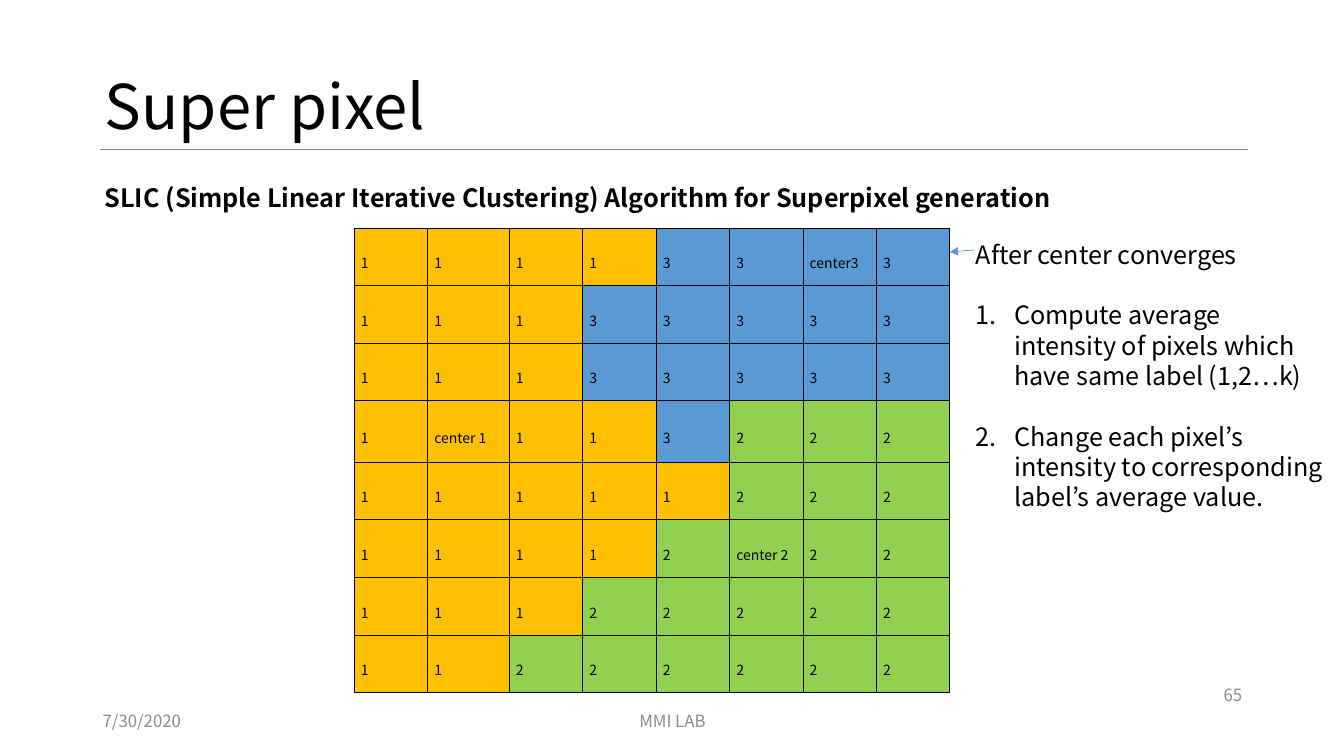
from dataclasses import dataclass

from lxml.etree import SubElement
from pptx import Presentation
from pptx.dml.color import RGBColor
from pptx.enum.shapes import MSO_CONNECTOR
from pptx.enum.text import MSO_ANCHOR, MSO_AUTO_SIZE, PP_ALIGN
from pptx.oxml.ns import qn
from pptx.util import Inches, Pt


@dataclass(frozen=True)
class Theme:
    font: str = "Noto Sans CJK KR"
    text: str = "000000"
    muted: str = "8C8C8C"
    accent: str = "5B9BD5"
    title: int = 44
    body: int = 18
    cell: int = 10
    footer: int = 12


THEME = Theme()
LABEL_FILLS = {"1": "FFC000", "2": "92D050", "3": THEME.accent}
LABELS = ["11113333", "11133333", "11133333", "11113222",
          "11111222", "11112222", "11122222", "11222222"]
CENTERS = {(0, 6): "center3", (3, 1): "center 1", (5, 5): "center 2"}
STEPS = ["Compute average intensity of pixels which have same label (1,2…k)",
         "Change each pixel’s intensity to corresponding label’s average value."]


def style(p, size, color=THEME.text, bold=False, align=PP_ALIGN.LEFT):
    p.alignment = align
    p.font.name = THEME.font
    p.font.size = Pt(size)
    p.font.bold = bold
    p.font.color.rgb = RGBColor.from_string(color)


def place(sp, box):
    sp.left, sp.top, sp.width, sp.height = (Inches(v) for v in box)


def add_text(s, box, text, size, anchor=MSO_ANCHOR.TOP, **look):
    tf = s.shapes.add_textbox(*(Inches(v) for v in box)).text_frame
    tf.word_wrap = True
    tf.vertical_anchor = anchor
    p = tf.paragraphs[0]
    p.text = text
    style(p, size, **look)


def add_line(s, start, end, color, arrow=False):
    line = s.shapes.add_connector(
        MSO_CONNECTOR.STRAIGHT, *(Inches(v) for v in (*start, *end)))
    line.line.color.rgb = RGBColor.from_string(color)
    line.line.width = Pt(0.5)
    if arrow:
        SubElement(line.line._get_or_add_ln(), qn("a:tailEnd"), type="triangle")
    SubElement(line._element.spPr, qn("a:effectLst"))


def add_heading(s, box):
    # Title with a rule below it
    left, top, width, height = box
    sp = s.shapes.title
    place(sp, box)
    tf = sp.text_frame
    tf.auto_size = MSO_AUTO_SIZE.NONE
    tf.vertical_anchor = MSO_ANCHOR.MIDDLE
    p = tf.paragraphs[0]
    p.text = "Super pixel"
    p.line_spacing = 0.9
    style(p, THEME.title)
    rule_y = top + 1.12
    add_line(s, (left + 0.05, rule_y), (left + width - 0.06, rule_y), THEME.muted)
    # Subtitle
    add_text(s, (left, top + 1.4, 10.83, 0.4),
             "SLIC (Simple Linear Iterative Clustering) Algorithm for Superpixel generation",
             THEME.body, bold=True)


def set_borders(cell):
    tc_pr = cell._tc.get_or_add_tcPr()
    for i, side in enumerate(("lnL", "lnR", "lnT", "lnB")):
        ln = tc_pr.makeelement(qn(f"a:{side}"), {"w": str(Pt(0.28))})
        fill = SubElement(ln, qn("a:solidFill"))
        SubElement(fill, qn("a:srgbClr"), val=THEME.text)
        tc_pr.insert(i, ln)


def add_label_grid(s, box):
    # Equal cells, except one wider column and one taller row
    n = len(LABELS)
    wide, tall = 0.81, 0.61
    table = s.shapes.add_table(n, n, *(Inches(v) for v in box)).table
    table.first_row = table.horz_banding = False
    for i in range(n):
        table.columns[i].width = Inches(wide if i == 1 else (box[2] - wide) / (n - 1))
        table.rows[i].height = Inches(tall if i == 3 else (box[3] - tall) / (n - 1))
    for r, row in enumerate(LABELS):
        for c, label in enumerate(row):
            cell = table.cell(r, c)
            cell.fill.solid()
            cell.fill.fore_color.rgb = RGBColor.from_string(LABEL_FILLS[label])
            cell.vertical_anchor = MSO_ANCHOR.MIDDLE
            cell.margin_left = cell.margin_right = Inches(0.07)
            cell.margin_top = cell.margin_bottom = Inches(0.02)
            p = cell.text_frame.paragraphs[0]
            p.text = CENTERS.get((r, c), label)
            p.line_spacing = 1.6
            style(p, THEME.cell, align=PP_ALIGN.JUSTIFY)
            set_borders(cell)


def add_steps(s, box):
    # Numbered steps after a lead line
    sp = s.placeholders[1]
    place(sp, box)
    tf = sp.text_frame
    tf.auto_size = MSO_AUTO_SIZE.NONE
    tf.vertical_anchor = MSO_ANCHOR.TOP
    for i, text in enumerate(["After center converges", *STEPS]):
        p = tf.add_paragraph() if i else tf.paragraphs[0]
        p.text = text
        p_pr = p._p.get_or_add_pPr()
        indent = Inches(0.38) if i else 0
        p_pr.set("marL", str(indent))
        p_pr.set("indent", str(-indent))
        if i:
            SubElement(p_pr, qn("a:buFont"), typeface="+mj-lt")
            SubElement(p_pr, qn("a:buAutoNum"), type="arabicPeriod")
        else:
            SubElement(p_pr, qn("a:buNone"))
        p.space_before = Pt(21.8 if i else 0)
        style(p, THEME.body)
    # Arrow from the lead line to the grid
    left, top = box[:2]
    add_line(s, (left + 0.08, top + 0.16), (left - 0.16, top + 0.18),
             THEME.accent, arrow=True)


def add_footer(s, box):
    left, top, width, height = box
    side, middle = 3, 4.5
    for x, y, w, text, align in (
            (left, top, side, "7/30/2020", PP_ALIGN.LEFT),
            (left + (width - middle) / 2, top, middle, "MMI LAB", PP_ALIGN.CENTER),
            (left + width - side, top - 0.26, side, "65", PP_ALIGN.RIGHT)):
        add_text(s, (x, y, w, height), text, THEME.footer,
                 anchor=MSO_ANCHOR.MIDDLE, color=THEME.muted, align=align)


def main():
    prs = Presentation()
    prs.slide_width, prs.slide_height = Inches(13.33), Inches(7.5)
    s = prs.slides.add_slide(prs.slide_layouts[1])
    add_heading(s, (0.94, 0.36, 11.5, 1.45))
    add_label_grid(s, (3.51, 2.26, 5.91, 4.61))
    add_steps(s, (9.58, 2.32, 3.68, 2.83))
    add_footer(s, (0.92, 6.95, 11.5, 0.4))
    prs.save("out.pptx")


if __name__ == "__main__":
    main()
